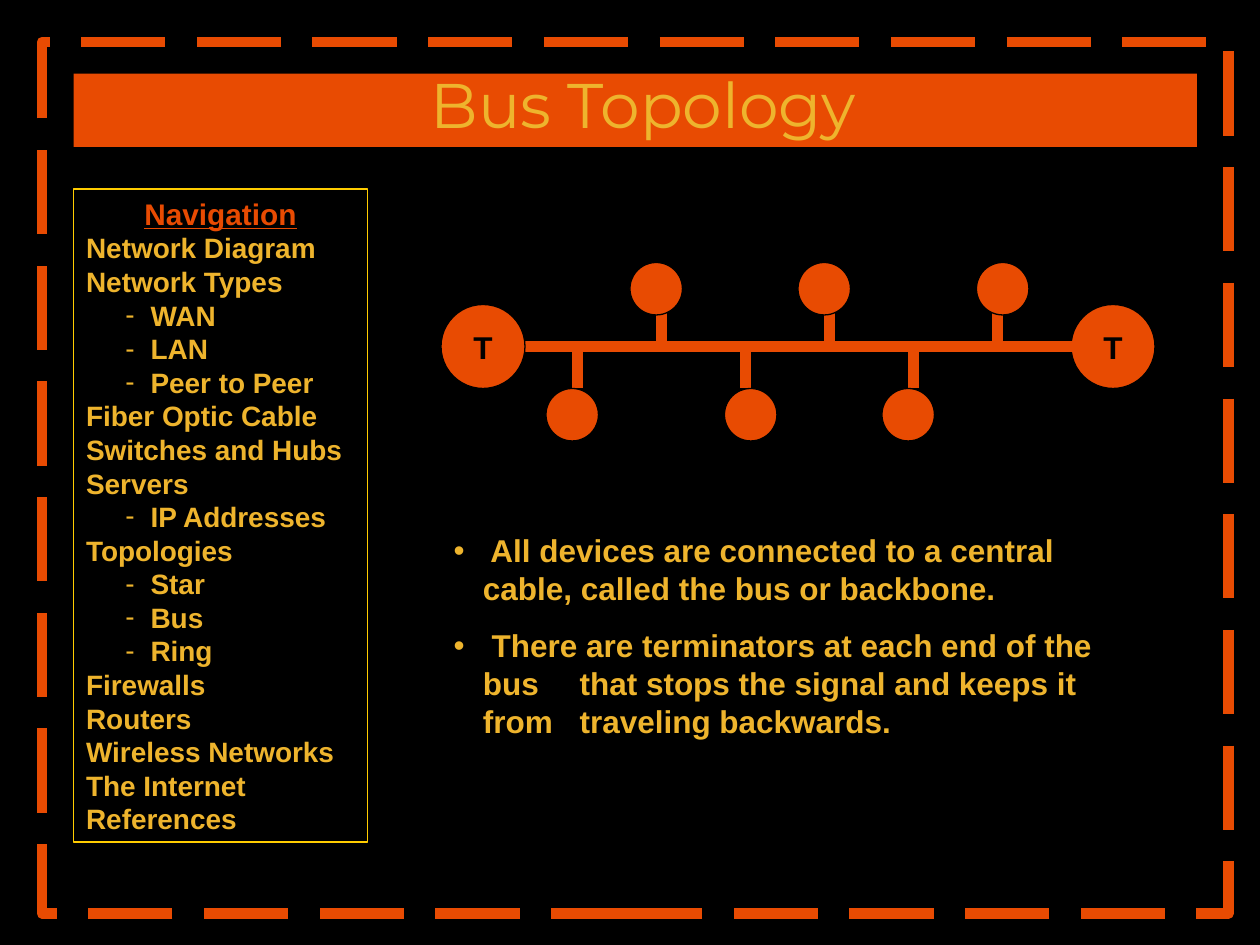
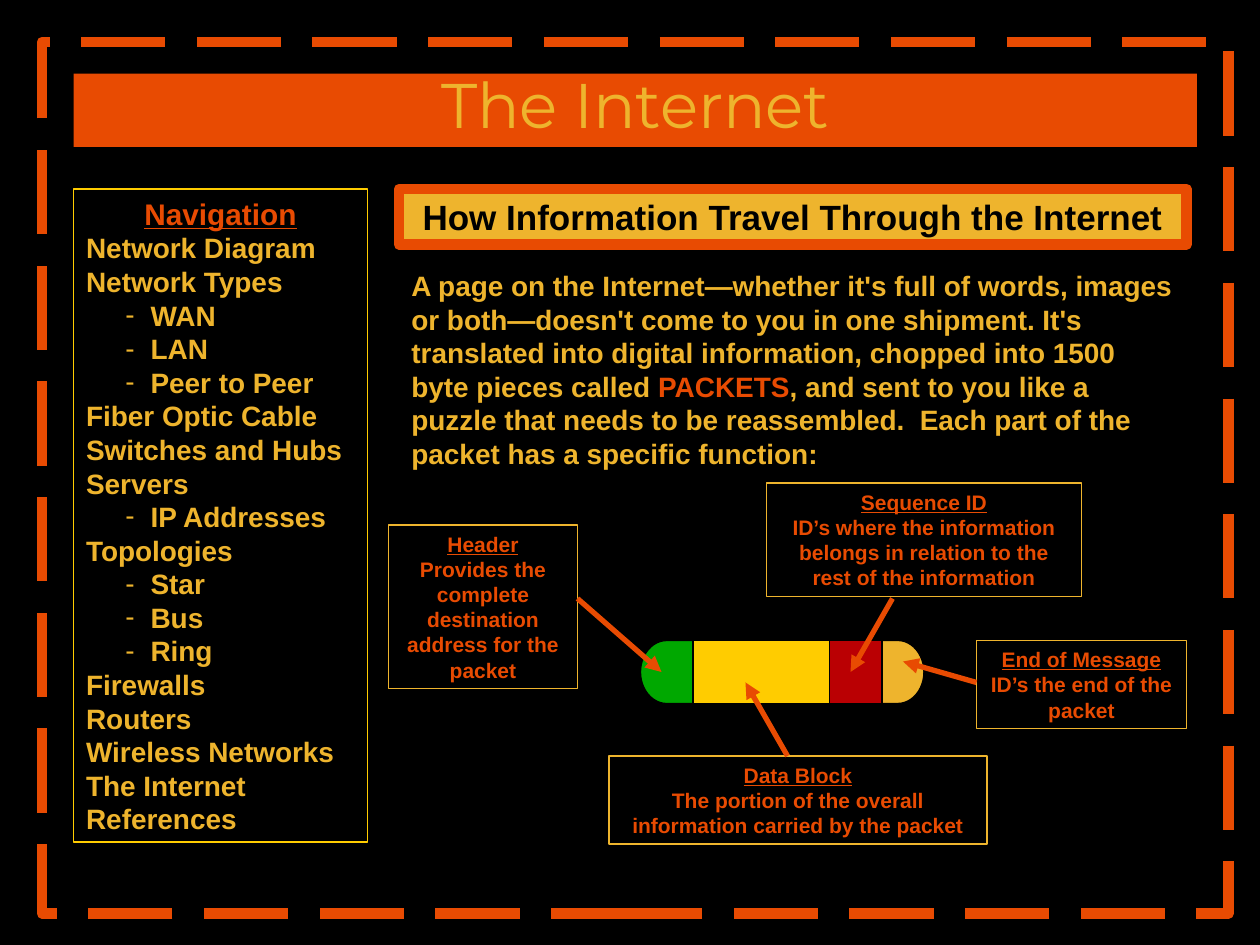
"""Build two networking slides: bus topology and Internet packets."""
from dataclasses import dataclass

from lxml import etree
from pptx import Presentation
from pptx.dml.color import RGBColor
from pptx.enum.dml import MSO_LINE
from pptx.enum.shapes import MSO_CONNECTOR, MSO_SHAPE
from pptx.enum.text import MSO_ANCHOR, MSO_AUTO_SIZE, PP_ALIGN
from pptx.oxml.ns import qn
from pptx.util import Cm, Pt

RECT, OVAL, DELAY = MSO_SHAPE.RECTANGLE, MSO_SHAPE.OVAL, MSO_SHAPE.FLOWCHART_DELAY
LEFT, CENTER = PP_ALIGN.LEFT, PP_ALIGN.CENTER
TOP, MIDDLE = MSO_ANCHOR.TOP, MSO_ANCHOR.MIDDLE
NO_FIT = MSO_AUTO_SIZE.NONE
STRAIGHT = MSO_CONNECTOR.STRAIGHT
LONG_DASH = MSO_LINE.LONG_DASH

COLORS = {
    "black": "000000", "orange": "E84B02", "gold": "EEB42D",
    "yellow": "FFCC00", "green": "00A800", "red": "BA0003",
}
BODY_FONT, TITLE_FONT = "Arial", "Montserrat"
GRID_CM = 2.54 / 12
LEADING = 1.2

NAVIGATION = (
    "Network Diagram", "Network Types", "-WAN", "-LAN", "-Peer to Peer",
    "Fiber Optic Cable", "Switches and Hubs", "Servers", "-IP Addresses",
    "Topologies", "-Star", "-Bus", "-Ring", "Firewalls", "Routers",
    "Wireless Networks", "The Internet", "References",
)


@dataclass(frozen=True)
class Box:
    """A rectangle in grid units of a twelfth of an inch."""
    left: float
    top: float
    width: float
    height: float


@dataclass(frozen=True)
class Run:
    """A piece of text with one look."""
    text: str
    color: str = "gold"
    underline: bool = False


@dataclass(frozen=True)
class Para:
    """A paragraph of runs, with an optional bullet and tab stop."""
    runs: tuple[Run, ...]
    size: float
    align: int = LEFT
    before: float = 0
    bullet: str = ""
    margin: float = 0
    hanging: float = 0
    tab: float = 0


@dataclass(frozen=True)
class Callout:
    """A labelled note with an arrow to a part of the packet."""
    title: str
    text: str
    box: Box
    start: tuple[float, float]
    end: tuple[float, float]


@dataclass(frozen=True)
class Part:
    """A coloured part of the packet."""
    kind: int
    left: float
    width: float
    color: str
    rotation: float = 0


CALLOUTS = (
    Callout("Header", "Provides the complete destination address for the packet",
            Box(37, 50, 18, 15.6), (55, 57), (63, 64)),
    Callout("Data Block", "The portion of the overall information carried by the packet",
            Box(58, 72, 36, 8.4), (75, 72), (71, 65)),
    Callout("Sequence ID",
            "ID’s where the information belongs in relation to the rest of the information",
            Box(73, 46, 30, 10.8), (85, 57), (81, 64)),
    Callout("End of Message", "ID’s the end of the packet",
            Box(93, 61, 20, 8.4), (93, 65), (86, 63)),
)
PACKET = (
    Part(DELAY, 61, 5, "green", 180),
    Part(DELAY, 83, 5, "gold"),
    Part(RECT, 66, 13, "yellow"),
    Part(RECT, 79, 5, "red"),
)


def grid(units: float) -> Cm:
    """Convert grid units to a length."""
    return Cm(units * GRID_CM)


def rgb(name: str) -> RGBColor:
    """Look up a colour by name."""
    return RGBColor.from_string(COLORS[name])


def place(sp, box: Box) -> None:
    """Move and size a shape."""
    sp.left, sp.top = grid(box.left), grid(box.top)
    sp.width, sp.height = grid(box.width), grid(box.height)


def paint(sp, fill: str = "", line: str = "", width: float = 0.75) -> None:
    """Set the fill and outline of a shape; an empty name means none."""
    if fill:
        sp.fill.solid()
        sp.fill.fore_color.rgb = rgb(fill)
    else:
        sp.fill.background()
    if line:
        sp.line.color.rgb = rgb(line)
        sp.line.width = Pt(width)
    else:
        sp.line.fill.background()


def add_shape(s, kind: int, box: Box, fill: str = "", line: str = "", width: float = 0.75):
    """Add a preset shape without a shadow."""
    sp = s.shapes.add_shape(kind, 0, 0, 0, 0)
    place(sp, box)
    sp.shadow.inherit = False
    paint(sp, fill, line, width)
    return sp


def add_line(s, start: tuple, end: tuple, width: float, arrow: bool = False) -> None:
    """Add an orange line, with an arrowhead at its end if asked."""
    cn = s.shapes.add_connector(STRAIGHT, *map(grid, start + end))
    cn.line.color.rgb = rgb("orange")
    cn.line.width = Pt(width)
    if arrow:
        etree.SubElement(cn.line._get_or_add_ln(), qn("a:tailEnd"), type="triangle")
    etree.SubElement(cn._element.spPr, qn("a:effectLst"))


def format_bullet(p, para: Para) -> None:
    """Set the indents, bullet and tab stop of a paragraph."""
    pPr = p._p.get_or_add_pPr()
    pPr.set("marL", str(Cm(para.margin)))
    pPr.set("indent", str(-Cm(para.hanging)))
    if para.bullet:
        color = etree.SubElement(pPr, qn("a:buClr"))
        etree.SubElement(color, qn("a:srgbClr"), val=COLORS["gold"])
        etree.SubElement(pPr, qn("a:buChar"), char=para.bullet)
    else:
        etree.SubElement(pPr, qn("a:buNone"))
    if para.tab:
        tabs = etree.SubElement(pPr, qn("a:tabLst"))
        etree.SubElement(tabs, qn("a:tab"), pos=str(Cm(para.tab)), algn="l")


def write(sp, paras: list[Para], anchor: int = TOP, wrap: bool = True) -> None:
    """Fill a shape with bold body text."""
    tf = sp.text_frame
    tf.word_wrap = wrap
    tf.auto_size = NO_FIT
    tf.vertical_anchor = anchor
    for i, para in enumerate(paras):
        p = tf.add_paragraph() if i else tf.paragraphs[0]
        format_bullet(p, para)
        p.alignment = para.align
        p.line_spacing = Pt(para.size * LEADING)
        p.space_before = Pt(para.before)
        for run in para.runs:
            r = p.add_run()
            r.text = run.text
            r.font.name, r.font.size, r.font.bold = BODY_FONT, Pt(para.size), True
            r.font.underline = run.underline
            r.font.color.rgb = rgb(run.color)


def nav_item(text: str) -> Para:
    """Make a navigation entry; a leading dash marks a sub-entry."""
    if text.startswith("-"):
        return Para((Run(text[1:]),), 16, bullet="-", margin=1.3, hanging=0.51)
    return Para((Run(text),), 16)


def start_slide(prs, layout: int, title: str):
    """Add a slide with the shared frame, title band and navigation."""
    s = prs.slides.add_slide(prs.slide_layouts[layout])
    frame = add_shape(s, RECT, Box(4, 4, 113, 83), line="orange", width=6)
    frame.line.dash_style = LONG_DASH

    band = s.shapes.title
    place(band, Box(7, 7, 107, 7))
    paint(band, "orange")
    tf = band.text_frame
    tf.word_wrap, tf.auto_size, tf.vertical_anchor = True, NO_FIT, MIDDLE
    p = tf.paragraphs[0]
    p.alignment, p.line_spacing, p.space_before = CENTER, 0.8, Pt(0)
    r = p.add_run()
    r.text = title
    r.font.name, r.font.size = TITLE_FONT, Pt(36)
    r.font.color.rgb = rgb("gold")

    nav = s.placeholders[1]
    place(nav, Box(7, 18, 28, 62.2))
    paint(nav, line="yellow")
    heading = Para((Run("Navigation", "orange", True),), 17, CENTER)
    write(nav, [heading] + [nav_item(text) for text in NAVIGATION])
    return s


def add_terminator(s, left: float) -> None:
    """Add a terminator circle at one end of the bus."""
    sp = add_shape(s, OVAL, Box(left, 29, 8, 8), "orange", "black")
    write(sp, [Para((Run("T", "black"),), 18, CENTER)], MIDDLE, wrap=False)


def build_bus(prs) -> None:
    """Build the bus topology slide."""
    s = start_slide(prs, 3, " Bus Topology")
    bus_y = 33
    upper, lower = {63: 60, 79: 76, 95: 93}, {55: 52, 71: 69, 87: 84}
    add_terminator(s, 102)
    add_line(s, (49, bus_y), (105, bus_y), 6)
    for stubs, end_y in ((upper, 29), (lower, 37)):
        for x in stubs:
            add_line(s, (x, bus_y), (x, end_y), 6)
    add_terminator(s, 42)
    for stubs, top in ((upper, 25), (lower, 37)):
        for left in stubs.values():
            add_shape(s, OVAL, Box(left, top, 5, 5), "orange", "black")

    facts = (
        " All devices are connected to a central cable, called the bus or backbone.",
        " There are terminators at each end of the bus \tthat stops the signal"
        " and keeps it from \ttraveling backwards.",
    )
    body = s.placeholders[2]
    place(body, Box(42, 50, 68, 21))
    write(body, [Para((Run(text),), 18, before=11.2 if i else 0, bullet="•",
                      margin=0.59, hanging=0.59, tab=2.54)
                 for i, text in enumerate(facts)])


def build_internet(prs) -> None:
    """Build the slide on Internet packets."""
    s = start_slide(prs, 1, "The Internet")
    heading = add_shape(s, RECT, Box(38, 18, 75, 5.3), "gold", "orange", 6)
    write(heading, [Para((Run("How Information Travel Through the Internet", "black"),),
                         20, CENTER)])
    for part in PACKET:
        sp = add_shape(s, part.kind, Box(part.left, 61, part.width, 6), part.color, "black")
        sp.rotation = part.rotation

    intro = s.shapes.add_textbox(0, 0, 0, 0)
    place(intro, Box(38, 25, 75, 20.4))
    write(intro, [Para((
        Run("A page on the Internet—whether it's full of words, images or both—doesn't "
            "come to you in one shipment. It's translated into digital information, "
            "chopped into 1500 byte pieces called "),
        Run("PACKETS", "orange"),
        Run(", and sent to you like a puzzle that needs to be reassembled.  Each part "
            "of the packet has a specific function:"),
    ), 16)])

    for note in CALLOUTS:
        sp = add_shape(s, RECT, note.box, line="gold")
        write(sp, [Para((Run(note.title, "orange", True),), 12, CENTER),
                   Para((Run(note.text, "orange"),), 12, CENTER)])
        add_line(s, note.start, note.end, 3, arrow=True)


def main() -> None:
    """Build and save the presentation."""
    prs = Presentation()
    prs.slide_width, prs.slide_height = Cm(25.4), Cm(19.05)
    fill = prs.slide_master.background.fill
    fill.solid()
    fill.fore_color.rgb = rgb("black")
    build_bus(prs)
    build_internet(prs)
    prs.save("out.pptx")


if __name__ == "__main__":
    main()
